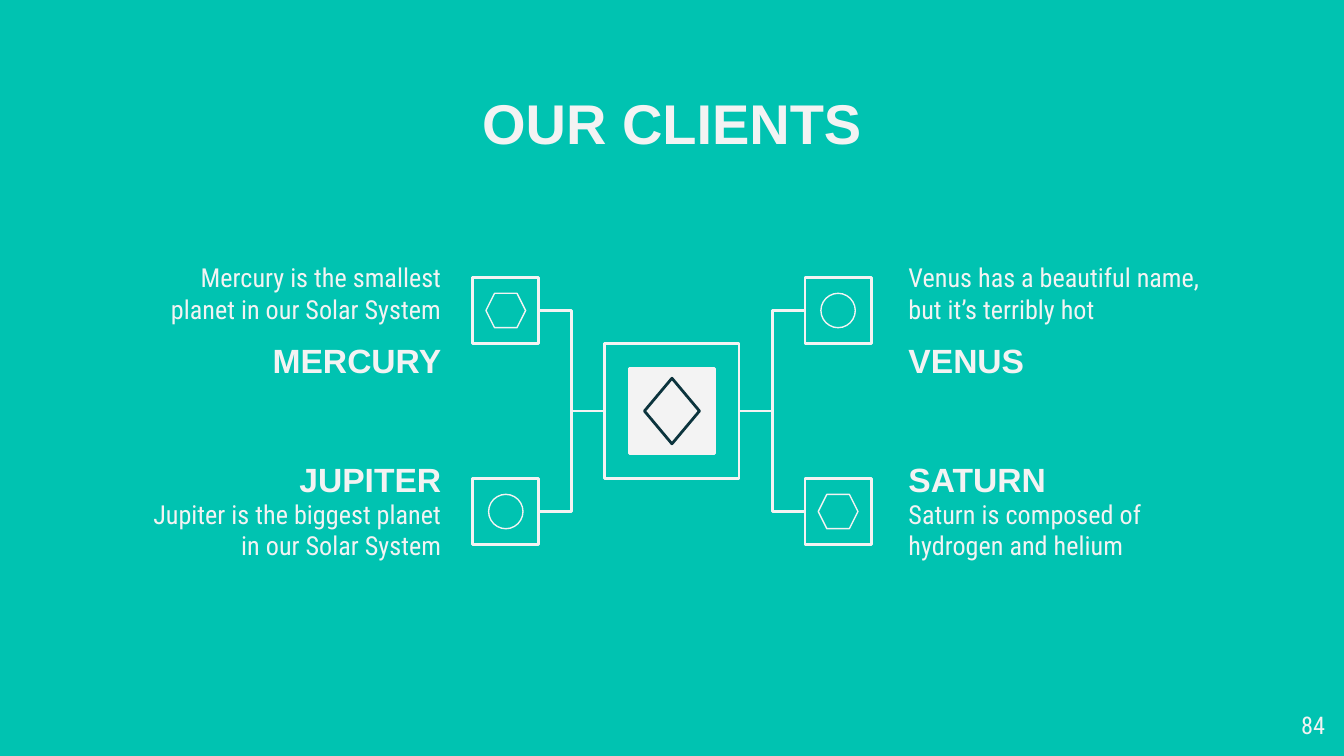
from lxml import etree
from pptx import Presentation
from pptx.dml.color import RGBColor
from pptx.enum.shapes import MSO_CONNECTOR, MSO_SHAPE
from pptx.enum.text import MSO_ANCHOR, PP_ALIGN
from pptx.oxml.ns import qn
from pptx.util import Cm, Pt

TEAL = RGBColor(0x00, 0xC3, 0xB1)
LIGHT = RGBColor(0xF3, 0xF3, 0xF3)
DARK = RGBColor(0x0C, 0x34, 0x3D)
HEAD_FONT, BODY_FONT = "Arial", "Roboto Condensed"

# name, description, column (-1 left, 1 right), row (-1 top, 1 bottom), emblem
CLIENTS = [
    ("MERCURY", "Mercury is the smallest planet in our Solar System",
     -1, -1, MSO_SHAPE.HEXAGON),
    ("VENUS", "Venus has a beautiful name, but it’s terribly hot",
     1, -1, MSO_SHAPE.OVAL),
    ("JUPITER", "Jupiter is the biggest planet in our Solar System",
     -1, 1, MSO_SHAPE.OVAL),
    ("SATURN", "Saturn is composed of hydrogen and helium",
     1, 1, MSO_SHAPE.HEXAGON),
]

# All lengths in centimetres
CENTER_X, CENTER_Y = 12.7, 7.77
HUB, PLATE, BOX = 2.54, 1.6, 1.25
OFFSET_X, OFFSET_Y = 3.14, 1.9
COLUMNS = {-1: (2.39, 6.2, PP_ALIGN.RIGHT), 1: (16.92, 6.1, PP_ALIGN.LEFT)}
# row: name top, name anchor, description top, description height
ROWS = {-1: (6.3, MSO_ANCHOR.MIDDLE, 4.7, 1.25),
        1: (8.43, MSO_ANCHOR.TOP, 9.17, 1.96)}
NAME_HEIGHT = 1.02

prs = Presentation()
prs.slide_width, prs.slide_height = Cm(25.4), Cm(14.29)
s = prs.slides.add_slide(prs.slide_layouts[6])
s.background.fill.solid()
s.background.fill.fore_color.rgb = TEAL


def add_text(text, left, top, width, height, *, size, font=BODY_FONT, bold=False,
             align=PP_ALIGN.LEFT, anchor=MSO_ANCHOR.TOP):
    tf = s.shapes.add_textbox(Cm(left), Cm(top), Cm(width), Cm(height)).text_frame
    tf.word_wrap = True
    tf.vertical_anchor = anchor
    tf.margin_left = tf.margin_right = tf.margin_top = tf.margin_bottom = Cm(0.25)
    p = tf.paragraphs[0]
    p.alignment = align
    r = p.add_run()
    r.text = text
    r.font.name, r.font.size, r.font.bold = font, Pt(size), bold
    r.font.color.rgb = LIGHT


def add_centered(kind, x, y, width, height, *, fill=None, line=LIGHT, weight=1.5):
    """Add a preset shape centred on (x, y)."""
    sp = s.shapes.add_shape(kind, Cm(x - width / 2), Cm(y - height / 2),
                            Cm(width), Cm(height))
    sp.shadow.inherit = False
    if fill is None:
        sp.fill.background()
    else:
        sp.fill.solid()
        sp.fill.fore_color.rgb = fill
    sp.line.color.rgb = line
    sp.line.width = Pt(weight)


def add_elbow(x1, y1, x2, y2):
    c = s.shapes.add_connector(MSO_CONNECTOR.ELBOW, Cm(x1), Cm(y1), Cm(x2), Cm(y2))
    c.line.color.rgb = LIGHT
    c.line.width = Pt(1.5)
    etree.SubElement(c._element.spPr, qn("a:effectLst"))


add_text("OUR CLIENTS", 2, 1.42, 21.4, 1.6, size=30, font=HEAD_FONT, bold=True,
         align=PP_ALIGN.CENTER)

add_centered(MSO_SHAPE.RECTANGLE, CENTER_X, CENTER_Y, HUB, HUB)
add_centered(MSO_SHAPE.RECTANGLE, CENTER_X, CENTER_Y, PLATE, PLATE, fill=LIGHT)
add_centered(MSO_SHAPE.DIAMOND, CENTER_X, CENTER_Y, 1.04, 1.24, line=DARK)

for name, description, column, row, emblem in CLIENTS:
    left, width, align = COLUMNS[column]
    name_top, anchor, text_top, text_height = ROWS[row]
    add_text(description, left, text_top, width, text_height, size=14, align=align)
    add_text(name, left, name_top, width, NAME_HEIGHT, size=18, font=HEAD_FONT,
             bold=True, align=align, anchor=anchor)

    x, y = CENTER_X + column * OFFSET_X, CENTER_Y + row * OFFSET_Y
    add_centered(MSO_SHAPE.RECTANGLE, x, y, BOX, BOX)
    emblem_width = 0.75 if emblem == MSO_SHAPE.HEXAGON else 0.65
    add_centered(emblem, x, y, emblem_width, 0.65, weight=0.75)
    add_elbow(CENTER_X + column * HUB / 2, CENTER_Y, x - column * BOX / 2, y)

add_text("84", 23.77, 13.18, 1.52, 1.09, size=13, align=PP_ALIGN.RIGHT)

prs.save("out.pptx")
